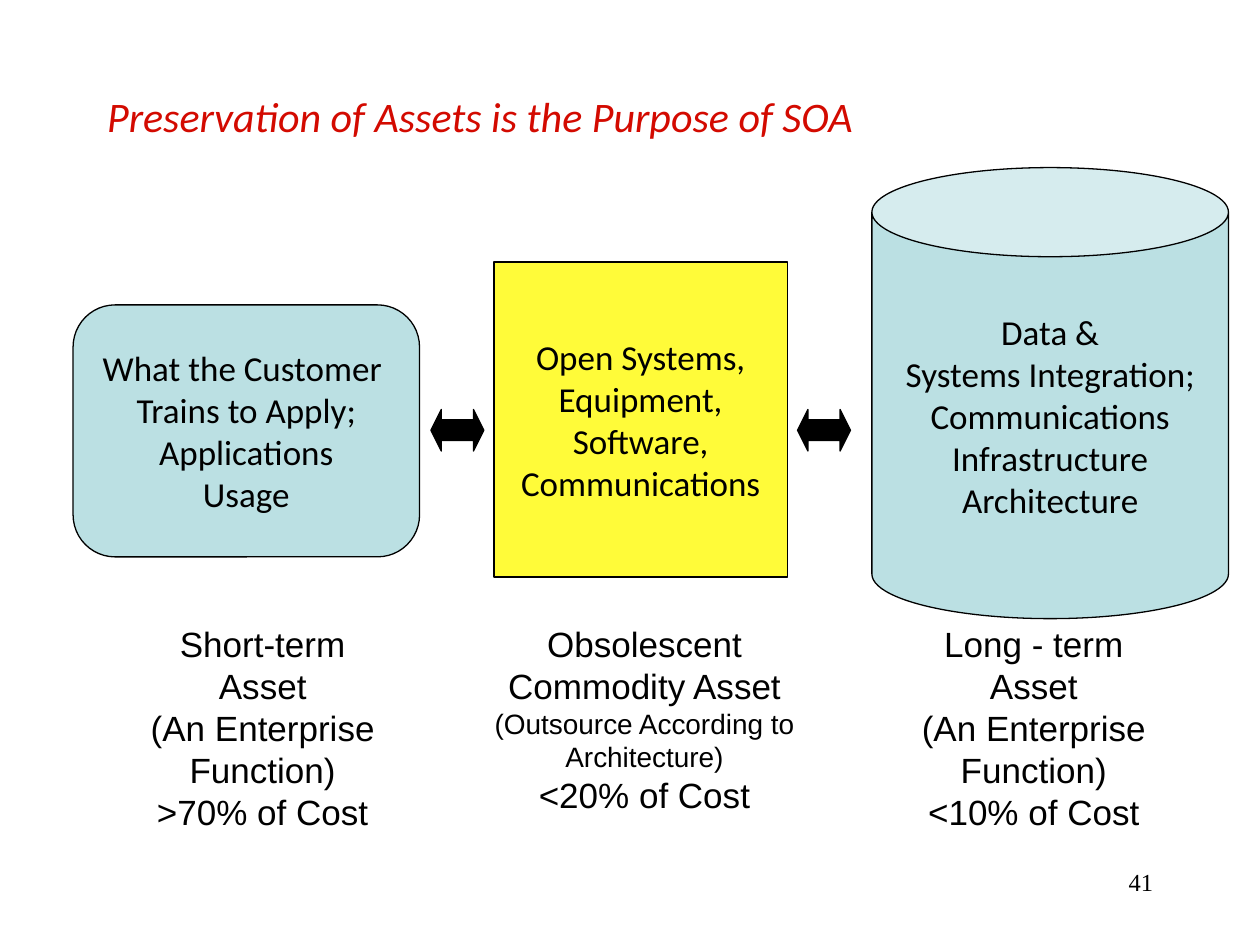
from pptx import Presentation
from pptx.dml.color import RGBColor
from pptx.enum.shapes import MSO_SHAPE as Shape
from pptx.enum.text import MSO_ANCHOR as Anchor, PP_ALIGN as Align
from pptx.util import Inches, Pt

RED = RGBColor(0xD3, 0x0A, 0x00)
BLACK = RGBColor(0, 0, 0)
PALE_BLUE = RGBColor(0xBB, 0xE0, 0xE3)
YELLOW = RGBColor(0xFF, 0xFB, 0x39)

# Kind, box, corner or rim size, fill, lines of text
ASSETS = [
    (Shape.ROUNDED_RECTANGLE, (0.58, 2.42, 2.75, 2), 0.167, PALE_BLUE,
     ["What the Customer ", "Trains to Apply;", "Applications", "Usage"]),
    (Shape.RECTANGLE, (3.92, 2.08, 2.33, 2.5), None, YELLOW,
     ["Open Systems,", "Equipment,", "Software,", "Communications"]),
    (Shape.CAN, (6.92, 1.33, 2.83, 3.58), 0.25, PALE_BLUE,
     ["Data &", "Systems Integration;", "Communications",
      "Infrastructure", "Architecture"]),
]
ARROW_LEFTS = [3.42, 6.33]

# Box, lines of text, size of each line
CAPTIONS = [
    ((0.48, 4.89, 3.21, 1.44),
     ["Short-term", "Asset", "(An Enterprise Function)", ">70% of Cost"],
     [20] * 4),
    ((3.82, 4.89, 2.59, 1.64),
     ["Obsolescent", "Commodity Asset", "(Outsource According to",
      "Architecture)", "<20% of Cost"],
     [20, 20, 16, 16, 20]),
    ((6.6, 4.89, 3.21, 1.44),
     ["Long - term", "Asset", "(An Enterprise Function)", "<10% of Cost"],
     [20] * 4),
]


def inches(box):
    return [Inches(length) for length in box]


def write(frame, lines, sizes, font="Calibri", color=BLACK, italic=False,
          align=Align.CENTER, anchor=Anchor.MIDDLE, wrap=False):
    """Fill a text frame with one paragraph for each line."""
    frame.word_wrap = wrap
    frame.vertical_anchor = anchor
    for index, (line, size) in enumerate(zip(lines, sizes)):
        para = frame.paragraphs[0] if index == 0 else frame.add_paragraph()
        para.alignment = align
        span = para.add_run()
        span.text = line
        span.font.name = font
        span.font.size = Pt(size)
        span.font.italic = italic
        span.font.color.rgb = color


def add_title(page, box, text):
    title = page.shapes.title
    title.left, title.top, title.width, title.height = inches(box)
    write(title.text_frame, [text], [24], color=RED, italic=True,
          align=Align.LEFT, wrap=True)


def add_outlined(page, kind, box, fill):
    shape = page.shapes.add_shape(kind, *inches(box))
    shape.shadow.inherit = False
    shape.fill.solid()
    shape.fill.fore_color.rgb = fill
    shape.line.color.rgb = BLACK
    shape.line.width = Pt(0.75)
    return shape


def add_asset(page, kind, box, adjustment, fill, lines):
    shape = add_outlined(page, kind, box, fill)
    if adjustment is not None:
        shape.adjustments[0] = adjustment
    write(shape.text_frame, lines, [20] * len(lines))


def add_arrow(page, box):
    arrow = add_outlined(page, Shape.LEFT_RIGHT_ARROW, box, BLACK)
    arrow.adjustments[1] = 0.25


def add_text(page, box, lines, sizes, **style):
    text_box = page.shapes.add_textbox(*inches(box))
    write(text_box.text_frame, lines, sizes, anchor=Anchor.TOP, **style)


def main():
    deck = Presentation()
    deck.slide_width, deck.slide_height = Inches(10), Inches(7.5)
    page = deck.slides.add_slide(deck.slide_layouts[5])

    add_title(page, (0.75, 0.58, 8.92, 0.67),
              "Preservation of Assets is the Purpose of SOA")

    # Assets and the arrows between them
    for asset in ASSETS:
        add_asset(page, *asset)
    for left in ARROW_LEFTS:
        add_arrow(page, (left, 3.25, 0.42, 0.33))

    # Captions below the assets
    for box, lines, sizes in CAPTIONS:
        add_text(page, box, lines, sizes, font="Arial")

    # Page number
    add_text(page, (7.17, 6.83, 2.08, 0.5), ["41"], [14],
             font="Times New Roman", align=Align.RIGHT, wrap=True)

    deck.save("out.pptx")


if __name__ == "__main__":
    main()
